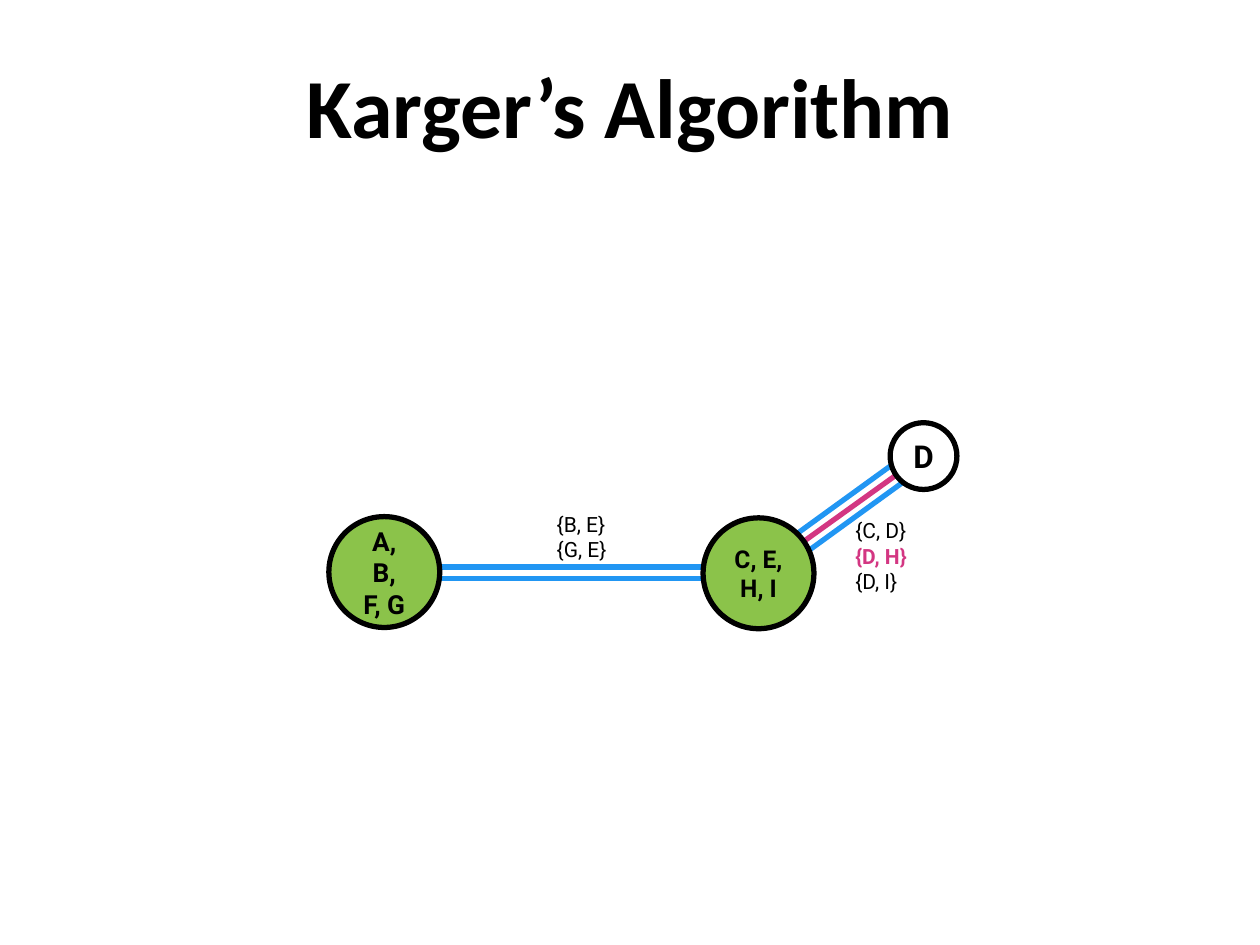
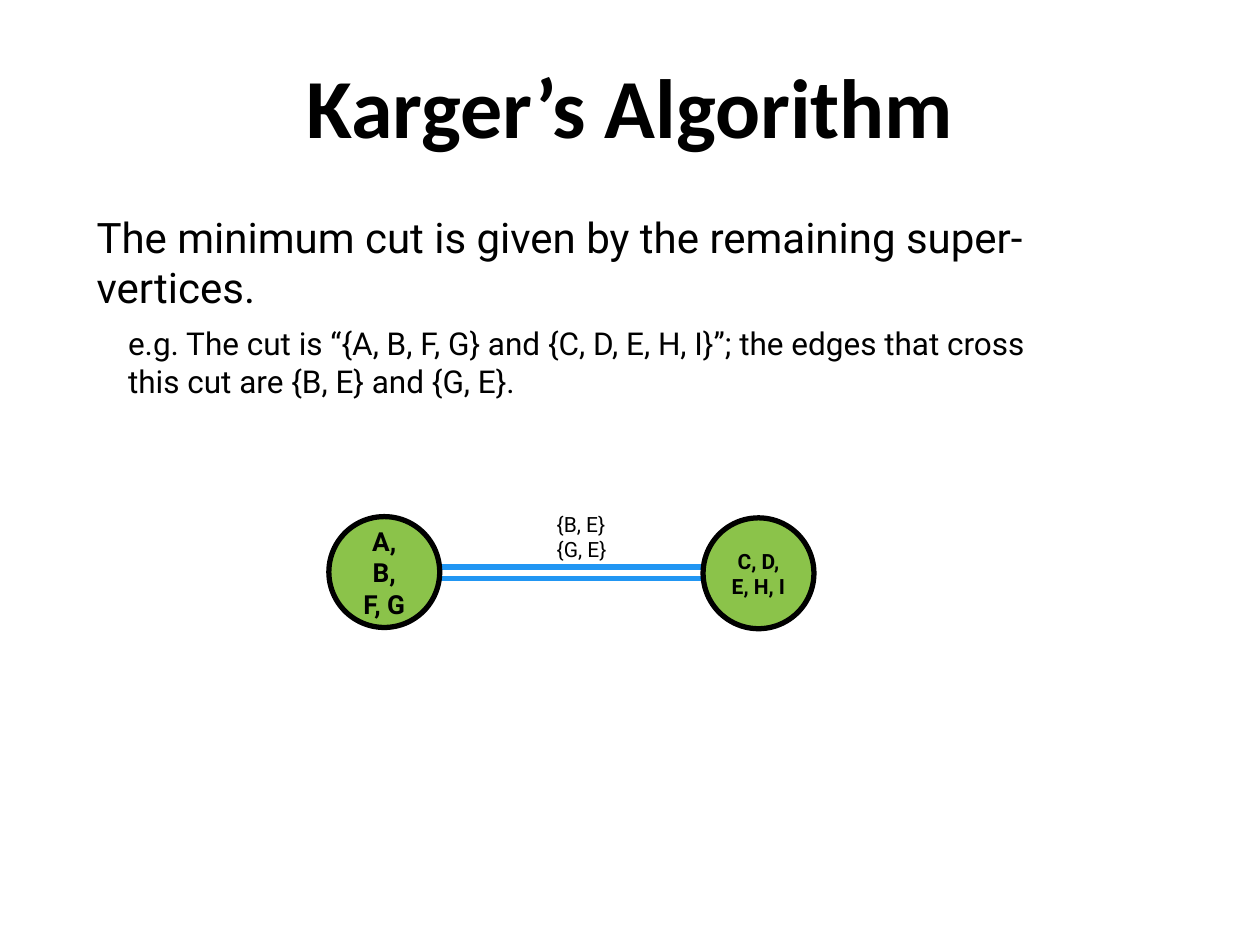
from pptx import Presentation
from pptx.util import Inches, Pt
from pptx.dml.color import RGBColor
from pptx.enum.shapes import MSO_SHAPE as Shape, MSO_CONNECTOR as Link
from pptx.enum.text import PP_ALIGN as Align, MSO_ANCHOR as Anchor, MSO_AUTO_SIZE as Fit
from pptx.oxml.ns import qn
from lxml.etree import SubElement

W, H = 10, 7.5
BLACK, WHITE, GREEN, BLUE, PINK = "000000", "FFFFFF", "8BC34A", "2196F3", "D33682"
TITLE = "Karger’s Algorithm"
BIG, SMALL = 0.88, 0.53

LEFT = (["A, B,", "F, G"], 3.05, 4.54, BIG, GREEN, 15)
PAIR = [((3.12, 4.5), (5.8, 4.5), BLUE), ((3.24, 4.59), (5.91, 4.59), BLUE)]
FAN = [
    ((7.23, 3.58), (6.14, 4.37), BLUE),
    ((7.28, 3.65), (6.18, 4.44), PINK),
    ((7.37, 3.68), (6.28, 4.47), BLUE),
]
CUT = (["{B, E}", "{G, E}"], (4.32, 4.04, 0.63, 0.44), Anchor.MIDDLE)
JOIN = (
    ["{C, D}", ("{D, H}", {"color": PINK, "bold": True}), "{D, I}"],
    (6.69, 4.01, 0.66, 0.98),
    Anchor.TOP,
)
SLIDES = [
    {
        "edges": FAN + PAIR,
        "nodes": [
            LEFT,
            (["D"], 7.33, 3.62, SMALL, WHITE, 18),
            (["C, E, H, I"], 6.02, 4.55, BIG, GREEN, 14),
        ],
        "labels": [JOIN, CUT],
    },
    {
        "body": [
            "The minimum cut is given by the remaining super-vertices.",
            ("e.g. The cut is “{A, B, F, G} and {C, D, E, H, I}”; the edges that cross",
             {"size": 18, "left": 0.25, "before": 7}),
            ("this cut are {B, E} and {G, E}.", {"size": 18, "left": 0.25}),
        ],
        "edges": PAIR,
        "nodes": [LEFT, (["C, D, E, H, I"], 6.02, 4.55, BIG, GREEN, 12)],
        "labels": [CUT],
    },
]


def paint(hue):
    return RGBColor.from_string(hue)


def place(shape, x, y, w, h):
    shape.left, shape.top, shape.width, shape.height = map(Inches, (x, y, w, h))


def write(shape, lines, anchor=Anchor.MIDDLE, **base):
    frame = shape.text_frame
    frame.auto_size, frame.word_wrap = Fit.NONE, True
    frame.vertical_anchor = anchor
    frame.margin_left = frame.margin_right = Inches(0.1)
    frame.margin_top = frame.margin_bottom = Inches(0.1)
    for i, line in enumerate(lines):
        text, more = (line, {}) if isinstance(line, str) else line
        look = {"size": 12, "font": "Roboto", "color": BLACK, "bold": False,
                "align": Align.LEFT, "left": 0, "before": 0, **base, **more}
        para = frame.paragraphs[0] if i == 0 else frame.add_paragraph()
        props = para._p.get_or_add_pPr()
        props.set("marL", str(Inches(look["left"])))
        props.set("indent", "0")
        SubElement(props, qn("a:buNone"))
        para.alignment = look["align"]
        para.space_before = Pt(look["before"])
        run = para.add_run()
        run.text = text
        run.font.name, run.font.size = look["font"], Pt(look["size"])
        run.font.bold = look["bold"]
        run.font.color.rgb = paint(look["color"])


def edge(slide, start, end, hue):
    line = slide.shapes.add_connector(Link.STRAIGHT, *map(Inches, start + end))
    line.line.color.rgb, line.line.width = paint(hue), Pt(3)
    SubElement(line._element.spPr, qn("a:effectLst"))


def node(slide, lines, x, y, span, hue, size):
    box = x - span / 2, y - span / 2, span, span
    disc = slide.shapes.add_shape(Shape.OVAL, *map(Inches, box))
    disc.shadow.inherit = False
    disc.fill.solid()
    disc.fill.fore_color.rgb = paint(hue)
    disc.line.color.rgb, disc.line.width = paint(BLACK), Pt(3)
    write(disc, lines, size=size, bold=True, align=Align.CENTER)


def build(deck, data):
    body = data.get("body")
    slide = deck.slides.add_slide(deck.slide_layouts[1 if body else 5])
    title = slide.shapes.title
    place(title, 0, H * 0.044, W, H / 6)
    write(title, [TITLE], Anchor.TOP, size=48, font="Calibri", bold=True, align=Align.CENTER)
    if body:
        area = slide.placeholders[1]
        place(area, W / 15, H * 0.21, W * 13 / 15, H * 0.79)
        write(area, body, Anchor.TOP, size=24)
    for item in data["edges"]:
        edge(slide, *item)
    for item in data["nodes"]:
        node(slide, *item)
    for lines, box, anchor in data["labels"]:
        write(slide.shapes.add_textbox(*map(Inches, box)), lines, anchor)


def main():
    deck = Presentation()
    deck.slide_width, deck.slide_height = Inches(W), Inches(H)
    for data in SLIDES:
        build(deck, data)
    deck.save("out.pptx")


if __name__ == "__main__":
    main()
